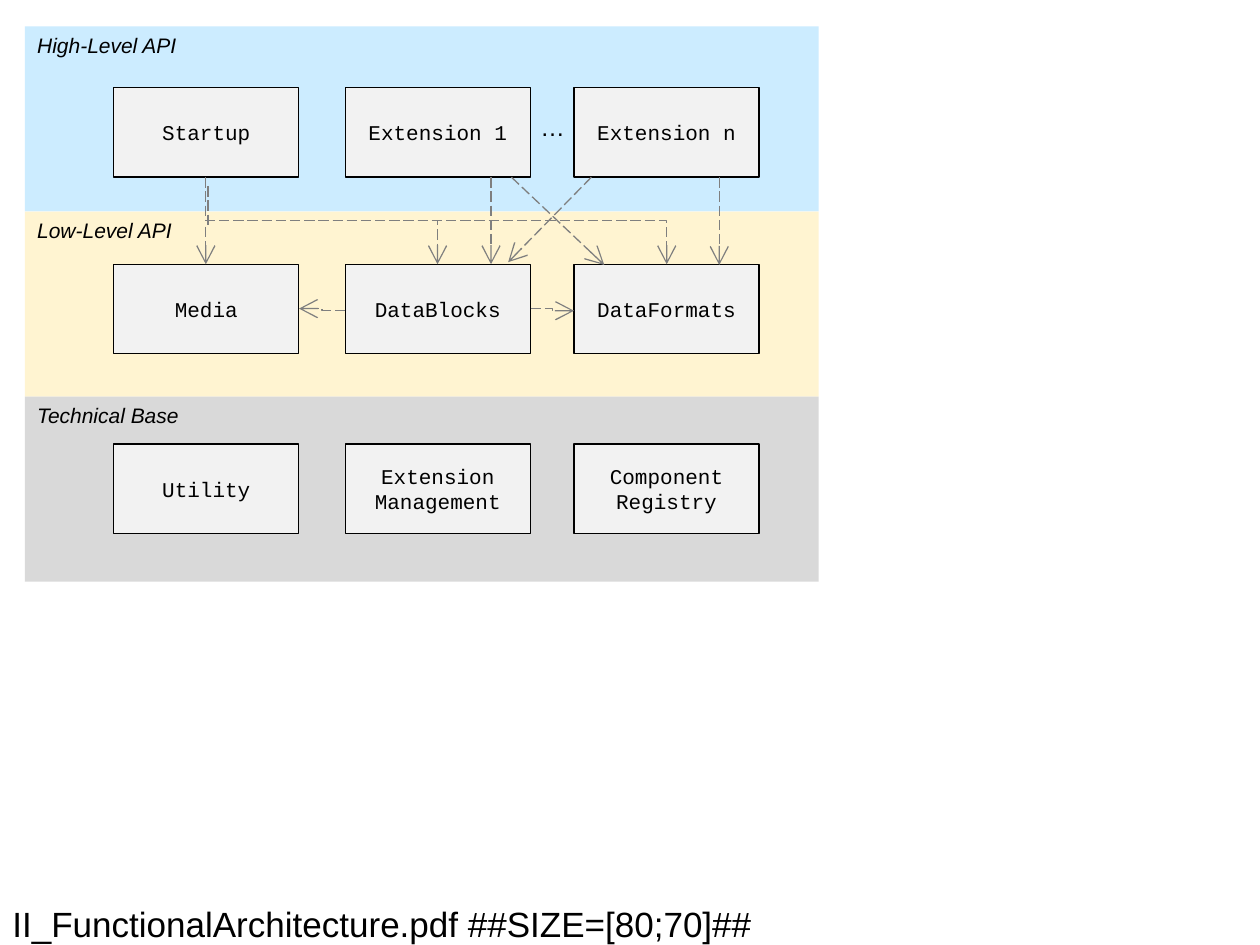
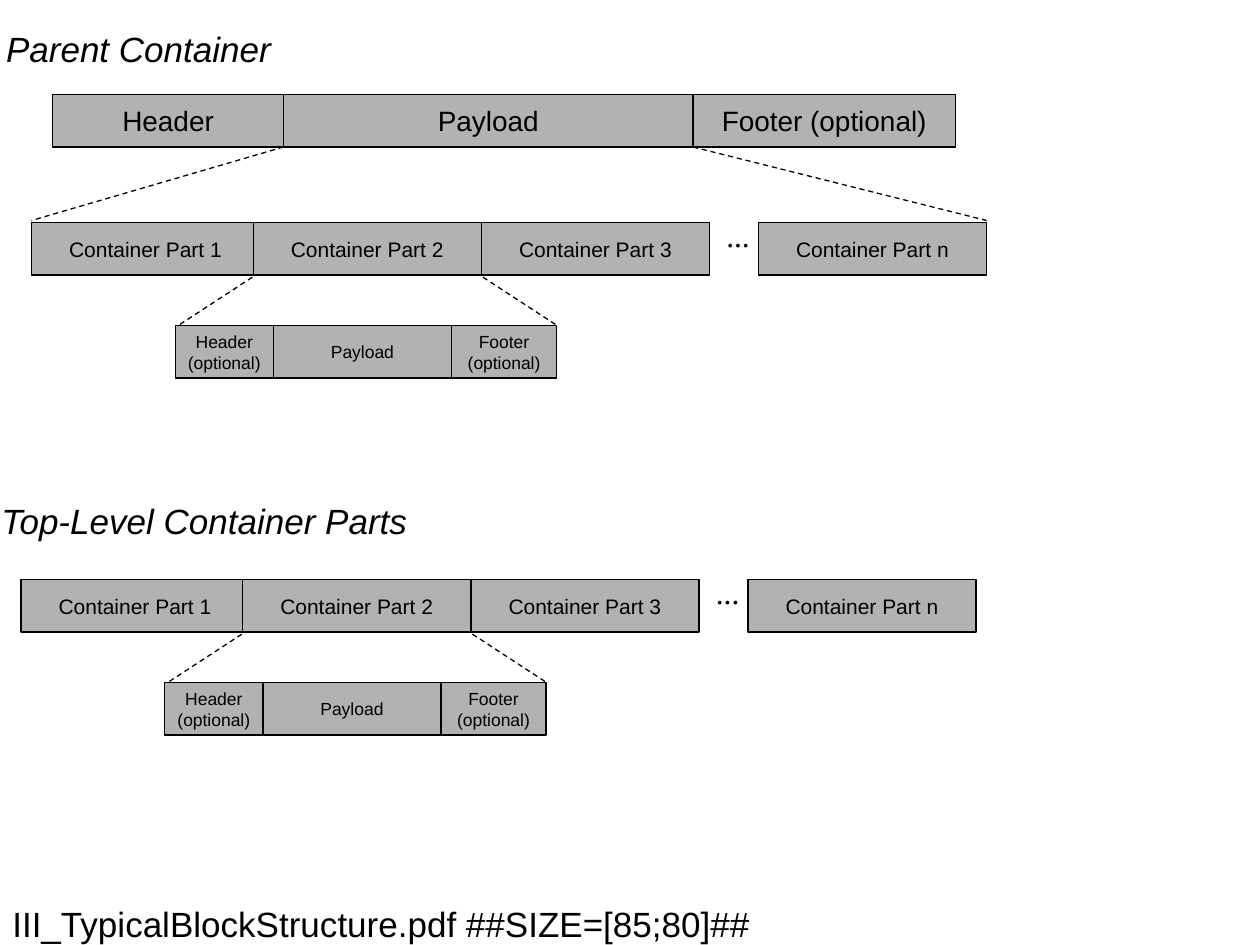
import copy

import lxml.etree
import pptx
import pptx.dml.color
import pptx.enum.dml
import pptx.enum.shapes
import pptx.enum.text
import pptx.oxml.ns
import pptx.util

Pt = pptx.util.Pt
qn = pptx.oxml.ns.qn
RGB = pptx.dml.color.RGBColor.from_string
DASH = pptx.enum.dml.MSO_LINE.DASH
LONG_DASH = pptx.enum.dml.MSO_LINE.LONG_DASH
STRAIGHT = pptx.enum.shapes.MSO_CONNECTOR.STRAIGHT
ELBOW = pptx.enum.shapes.MSO_CONNECTOR.ELBOW
MIDDLE = pptx.enum.text.MSO_ANCHOR.MIDDLE
TOP = pptx.enum.text.MSO_ANCHOR.TOP
CENTER = pptx.enum.text.PP_ALIGN.CENTER
LEFT = pptx.enum.text.PP_ALIGN.LEFT

COLORS = {
    "ink": "000000",
    "high": "CCECFF",
    "low": "FFF4D1",
    "base": "D9D9D9",
    "module": "F2F2F2",
    "arrow": "7F7F7F",
    "block": "B2B2B2",
}


def add_text(s, text, x, y, w, h, size, font="Arial", fill=None, border=False,
             italic=False, align=LEFT, anchor=TOP, wrap=False):
    if fill:
        sp = s.shapes.add_shape(pptx.enum.shapes.MSO_SHAPE.RECTANGLE, Pt(x), Pt(y), Pt(w), Pt(h))
        sp.shadow.inherit = False
        sp.fill.solid()
        sp.fill.fore_color.rgb = RGB(COLORS[fill])
        if border:
            sp.line.color.rgb = RGB(COLORS["ink"])
            sp.line.width = Pt(0.75)
        else:
            sp.line.fill.background()
    else:
        sp = s.shapes.add_textbox(Pt(x), Pt(y), Pt(w), Pt(h))
    tf = sp.text_frame
    tf.word_wrap = wrap
    tf.vertical_anchor = anchor
    p = tf.paragraphs[0]
    p.text = text
    p.alignment = align
    for r in p.runs:
        r.font.name = font
        r.font.size = Pt(size)
        r.font.italic = italic
        r.font.color.rgb = RGB(COLORS["ink"])
    for br in p._p.findall(qn("a:br")):
        br.append(copy.deepcopy(p.runs[0]._r.rPr))


def add_line(s, x1, y1, x2, y2, color, dash, kind=STRAIGHT, arrow=False):
    c = s.shapes.add_connector(kind, Pt(x1), Pt(y1), Pt(x2), Pt(y2))
    c.line.color.rgb = RGB(COLORS[color])
    c.line.width = Pt(0.75)
    c.line.dash_style = dash
    if arrow:
        lxml.etree.SubElement(c.line._get_or_add_ln(), qn("a:tailEnd"),
                              type="arrow", w="lg", len="lg")
    lxml.etree.SubElement(c._element.spPr, qn("a:effectLst"))
    return c


prs = pptx.Presentation()
prs.slide_width, prs.slide_height = Pt(720), Pt(540)
slides = []
for caption, width in [("II_FunctionalArchitecture.pdf ##SIZE=[80;70]##", 720),
                       ("III_TypicalBlockStructure.pdf ##SIZE=[85;80]##", 612)]:
    s = prs.slides.add_slide(prs.slide_layouts[6])
    add_text(s, caption, 0, 515.8, width, 23.8, 20, anchor=MIDDLE, wrap=True)
    slides.append(s)
architecture, blocks = slides

layers = [
    ("High-Level API", "high", 50, ["Startup", "Extension 1", "Extension n"]),
    ("Low-Level API", "low", 151, ["Media", "DataBlocks", "DataFormats"]),
    ("Technical Base", "base", 253.7, ["Utility", "Extension Management", "Component Registry"]),
]
for i, (layer, fill, y, modules) in enumerate(layers):
    add_text(architecture, layer, 14.2, 15.1 + 105.8 * i, 453.6, 105.8, 12,
             fill=fill, italic=True, wrap=True)
    for x, module in zip([65, 197.3, 328], modules):
        add_text(architecture, module, x, y, 105.8, 51.1, 12, "Courier New", "module",
                 border=True, align=CENTER, anchor=MIDDLE, wrap=True)
add_text(architecture, "…", 301.7, 60.5, 28, 24.5, 14)

for x1, y1, x2, y2 in [(303.2, 176.4, 328, 177.6), (197.3, 177.6, 170.9, 176.4)]:
    add_line(architecture, x1, y1, x2, y2, "arrow", LONG_DASH, ELBOW, True)

for x1, y1, x2 in [(118.8, 106.4, 117.6), (117.6, 101.3, 250), (117.6, 101.3, 381)]:
    drop, run = 151 - y1, abs(x2 - x1)
    left = (x1 + x2 - drop) / 2
    top = (y1 + 151 - run) / 2
    ends = (left, left + drop) if x2 < x1 else (left + drop, left)
    c = add_line(architecture, ends[0], top, ends[1], top + run, "arrow", LONG_DASH, ELBOW, True)
    c._element.spPr.find(qn("a:xfrm")).set("rot", "5400000" if x2 < x1 else "16200000")

for x1, x2, y2 in [(280.6, 280.6, 151), (411, 411, 151.4),
                   (292.3, 345.3, 151.4), (337.9, 290.4, 149.8)]:
    add_line(architecture, x1, 101.3, x2, y2, "arrow", LONG_DASH, arrow=True)

for title, x, y, w in [("Parent Container", -3.6, 12.2, 200),
                       ("Top-Level Container Parts", -6.3, 282, 280)]:
    add_text(blocks, title, x, y, w, 31.7, 20, italic=True, wrap=True)

rows = [(0, 54, 16, [("Header", 30.2, 131.8), ("Payload", 162, 234),
                     ("Footer (optional)", 396, 150)])]
for dx, dy in [(0, 0), (-6, 204)]:
    rows.append((dx, 127.2 + dy, 12, [
        ("Container Part 1", 18, 130.4), ("Container Part 2", 144.7, 130.4),
        ("Container Part 3", 275.1, 130.4), ("Container Part n", 433.4, 130.4)]))
    rows.append((dx, 186 + dy, 10, [
        ("Header\n(optional)", 100.1, 56.1), ("Payload", 156.2, 101.8),
        ("Footer\n(optional)", 258, 60)]))
    add_text(blocks, "...", 408.4 + dx, 120.2 + dy, 28, 28.8, 18, "Times New Roman", italic=True)
    for x1, x2 in [(144.2, 102.2), (276, 318)]:
        add_line(blocks, x1 + dx, 158.4 + dy, x2 + dx, 185.8 + dy, "ink", DASH)

for dx, y, size, parts in rows:
    for part, x, w in parts:
        add_text(blocks, part, x + dx, y, w, 30, size, fill="block", border=True,
                 align=CENTER, anchor=MIDDLE)

for x1, x2 in [(162, 18), (396, 563.8)]:
    add_line(blocks, x1, 84, x2, 126, "ink", DASH)

prs.save("out.pptx")
